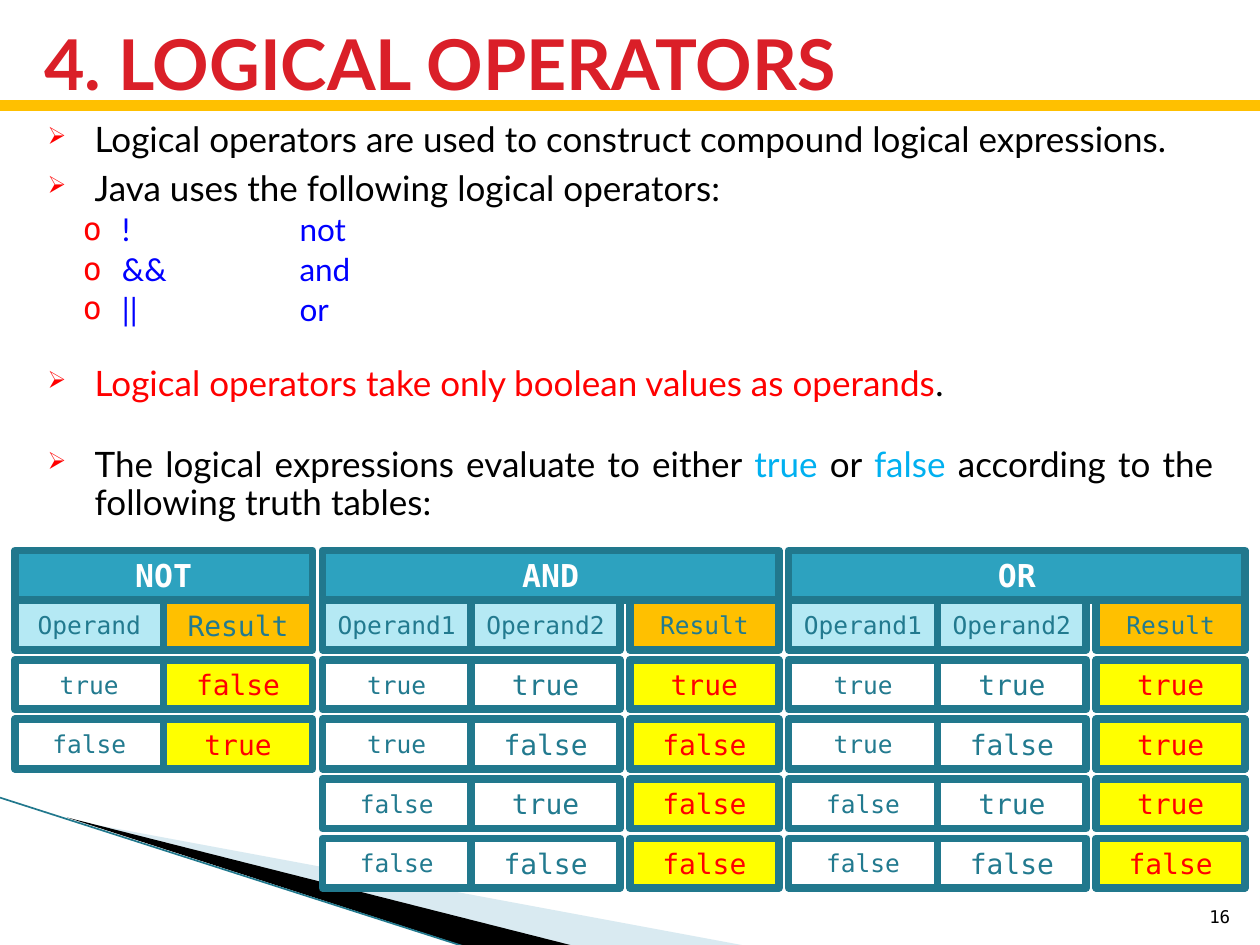
import pptx
import pptx.dml.color
import pptx.enum.shapes
import pptx.enum.text
import pptx.oxml
import pptx.oxml.ns
import pptx.util
from pptx.util import Cm

TEXT_FONT = "Lato"
MONO_FONT = "DejaVu Sans Mono"
BLACK, WHITE, RED, BLUE, SKY = "000000", "FFFFFF", "FF0000", "0000FF", "00B0F0"
TEAL, DARK_TEAL, GRID_TEAL, PALE_TEAL = "2DA2BF", "227A8F", "21788D", "B5E9F4"
AMBER, YELLOW = "FFC000", "FFFF00"

CELL_WIDTH, CELL_HEIGHT, GAP = 3.0, 1.0, 0.2
TABLE_TOP = 11.1
LEFT = pptx.enum.text.PP_ALIGN.LEFT
CENTER = pptx.enum.text.PP_ALIGN.CENTER
RIGHT = pptx.enum.text.PP_ALIGN.RIGHT
JUSTIFY = pptx.enum.text.PP_ALIGN.JUSTIFY
MIDDLE = pptx.enum.text.MSO_ANCHOR.MIDDLE


def rgb(color):
    return pptx.dml.color.RGBColor.from_string(color)


def add_xml(parent, tag, **attributes):
    child = pptx.oxml.parse_xml(f"<a:{tag} {pptx.oxml.ns.nsdecls('a')}/>")
    for name, value in attributes.items():
        child.set(name, str(value))
    parent.append(child)
    return child


def format_run(run, size, color, font=TEXT_FONT, bold=False):
    run.font.size = pptx.util.Pt(size)
    run.font.name = font
    run.font.bold = bold
    run.font.color.rgb = rgb(color)


def set_line_text(frame, text, align, size, color, font, bold=False):
    """Fill a frame with one formatted line."""
    frame.text = text
    frame.paragraphs[0].alignment = align
    format_run(frame.paragraphs[0].runs[0], size, color, font, bold)


def add_wedge(slide, points, color, opacity=None):
    (start_x, start_y), *rest = [(Cm(x), Cm(y)) for x, y in points]
    builder = slide.shapes.build_freeform(start_x, start_y)
    builder.add_line_segments(rest, close=True)
    wedge = builder.convert_to_shape()
    wedge.shadow.inherit = False
    wedge.fill.solid()
    wedge.fill.fore_color.rgb = rgb(color)
    wedge.line.fill.background()
    if opacity:
        fill_color = wedge.fill._xPr.find(".//" + pptx.oxml.ns.qn("a:srgbClr"))
        add_xml(fill_color, "alpha", val=opacity * 1000)


def add_rule(slide, x1, y1, x2, y2, color, width):
    rule = slide.shapes.add_connector(
        pptx.enum.shapes.MSO_CONNECTOR.STRAIGHT, Cm(x1), Cm(y1), Cm(x2), Cm(y2))
    rule.line.color.rgb = rgb(color)
    rule.line.width = pptx.util.Pt(width)
    add_xml(rule._element.spPr, "effectLst")


def add_title(slide, text):
    title = slide.shapes.title
    title.left, title.top, title.width, title.height = Cm(0.64), Cm(0.43), Cm(21.6), Cm(1.65)
    title.text_frame.vertical_anchor = MIDDLE
    set_line_text(title.text_frame, text, LEFT, 40, "DA1F28", TEXT_FONT, True)


def add_bullet(paragraph, parts, level, first):
    """Write (text, colour) parts as one bullet of the given level."""
    char, size, margin, hanging, before = [
        ("➢", 20, 0.95, 0.95, 4), ("o", 18, 1.5, 0.79, 3.2)][level]
    properties = paragraph._p.get_or_add_pPr()
    properties.set("marL", str(Cm(margin)))
    properties.set("indent", str(-Cm(hanging)))
    add_xml(add_xml(properties, "buClr"), "srgbClr", val=RED)
    if level == 0:
        add_xml(properties, "buSzPct", val=68000)
    else:
        add_xml(properties, "buFont", typeface=MONO_FONT)
    add_xml(properties, "buChar", char=char)
    paragraph.level = level
    paragraph.alignment = JUSTIFY
    paragraph.line_spacing = 0.9
    paragraph.space_before = pptx.util.Pt(0 if first else before)
    for text, color in parts:
        run = paragraph.add_run()
        run.text = text
        format_run(run, size, color)


def add_bullets(slide, top, height, bullets):
    """Add a text box of (level, parts) bullets."""
    box = slide.shapes.add_textbox(Cm(0.71), Cm(top), Cm(24), Cm(height))
    frame = box.text_frame
    frame.word_wrap = True
    for index, (level, parts) in enumerate(bullets):
        paragraph = frame.add_paragraph() if index else frame.paragraphs[0]
        add_bullet(paragraph, parts, level, index == 0)


def add_cell(table, x, y, width, text, fill, size, color=DARK_TEAL, bold=False):
    cell = table.shapes.add_shape(
        pptx.enum.shapes.MSO_SHAPE.RECTANGLE, Cm(x), Cm(y), Cm(width), Cm(CELL_HEIGHT))
    cell.shadow.inherit = False
    cell.fill.solid()
    cell.fill.fore_color.rgb = rgb(fill)
    cell.line.color.rgb = rgb(GRID_TEAL)
    cell.line.width = pptx.util.Pt(4.33)
    cell.text_frame.vertical_anchor = MIDDLE
    set_line_text(cell.text_frame, text, CENTER, size, color, MONO_FONT, bold)


def add_truth_table(slide, left, operator, header, rows, result_gap, result_size):
    """Add a heading, a header row and truth rows; the last column is the result."""
    table = slide.shapes.add_group_shape()
    last = len(header) - 1
    lefts = [left + CELL_WIDTH * column for column in range(last + 1)]
    lefts[last] += result_gap
    add_cell(table, left, TABLE_TOP, lefts[last] + CELL_WIDTH - left,
             operator, TEAL, 18, WHITE, True)
    header_top = TABLE_TOP + CELL_HEIGHT
    for column, (x, name) in enumerate(zip(lefts, header)):
        is_result = column == last
        add_cell(table, x, header_top, CELL_WIDTH, name,
                 AMBER if is_result else PALE_TEAL, result_size if is_result else 14)
    for number, values in enumerate(rows, 1):
        y = header_top + number * (CELL_HEIGHT + GAP)
        for column, (x, value) in enumerate(zip(lefts, values)):
            is_result = column == last
            add_cell(table, x, y, CELL_WIDTH, str(value).lower(),
                     YELLOW if is_result else WHITE, 16 if column else 14,
                     RED if is_result else DARK_TEAL)


def add_page_number(slide, number):
    box = slide.shapes.add_textbox(Cm(24.03), Cm(17.8), Cm(1.02), Cm(1.02))
    box.text_frame.vertical_anchor = pptx.enum.text.MSO_ANCHOR.BOTTOM
    box.text_frame.word_wrap = True
    set_line_text(box.text_frame, number, RIGHT, 10, BLACK, MONO_FONT)


def main():
    deck = pptx.Presentation()
    deck.slide_width, deck.slide_height = Cm(25.4), Cm(19.05)
    slide = deck.slides.add_slide(deck.slide_layouts[5])

    add_wedge(slide, [(1.4, 16.53), (15.11, 19.08), (11.58, 19.08)], "A0CBDC", 40)
    add_wedge(slide, [(1.35, 16.48), (11.61, 19.08), (9.45, 19.1)], BLACK)
    add_rule(slide, 0, 16.08, 9.42, 19.1, GRID_TEAL, 0.95)
    add_title(slide, "4. LOGICAL OPERATORS")
    add_rule(slide, 0, 2.13, 25.4, 2.13, AMBER, 6)

    add_bullets(slide, 2.34, 1.19, [(0, [(
        "Logical operators are used to construct compound logical expressions.", BLACK)])])
    add_bullets(slide, 3.33, 3.94, [
        (0, [("Java uses the following logical operators:", BLACK)]),
        (1, [("! \t\t\tnot", BLUE)]),
        (1, [("&&\t\t\tand", BLUE)]),
        (1, [("||\t\t\tor", BLUE)])])
    add_bullets(slide, 7.26, 1.19, [(0, [
        ("Logical operators take only boolean values as operands", RED), (".", BLACK)])])
    add_bullets(slide, 8.89, 2.01, [(0, [
        ("The logical expressions evaluate to either ", BLACK), ("true", SKY),
        (" or ", BLACK), ("false ", SKY),
        ("according to the following truth tables:", BLACK)])])

    truths = (True, False)
    pairs = [(a, b) for a in truths for b in truths]
    binary_header = ["Operand1", "Operand2", "Result"]
    add_truth_table(slide, 0.3, "NOT", ["Operand", "Result"],
                    [(a, not a) for a in truths], 0, 16)
    add_truth_table(slide, 6.5, "AND", binary_header,
                    [(a, b, a and b) for a, b in pairs], GAP, 14)
    add_truth_table(slide, 15.9, "OR", binary_header,
                    [(a, b, a or b) for a, b in pairs], GAP, 14)
    add_page_number(slide, "16")
    deck.save("out.pptx")


if __name__ == "__main__":
    main()
